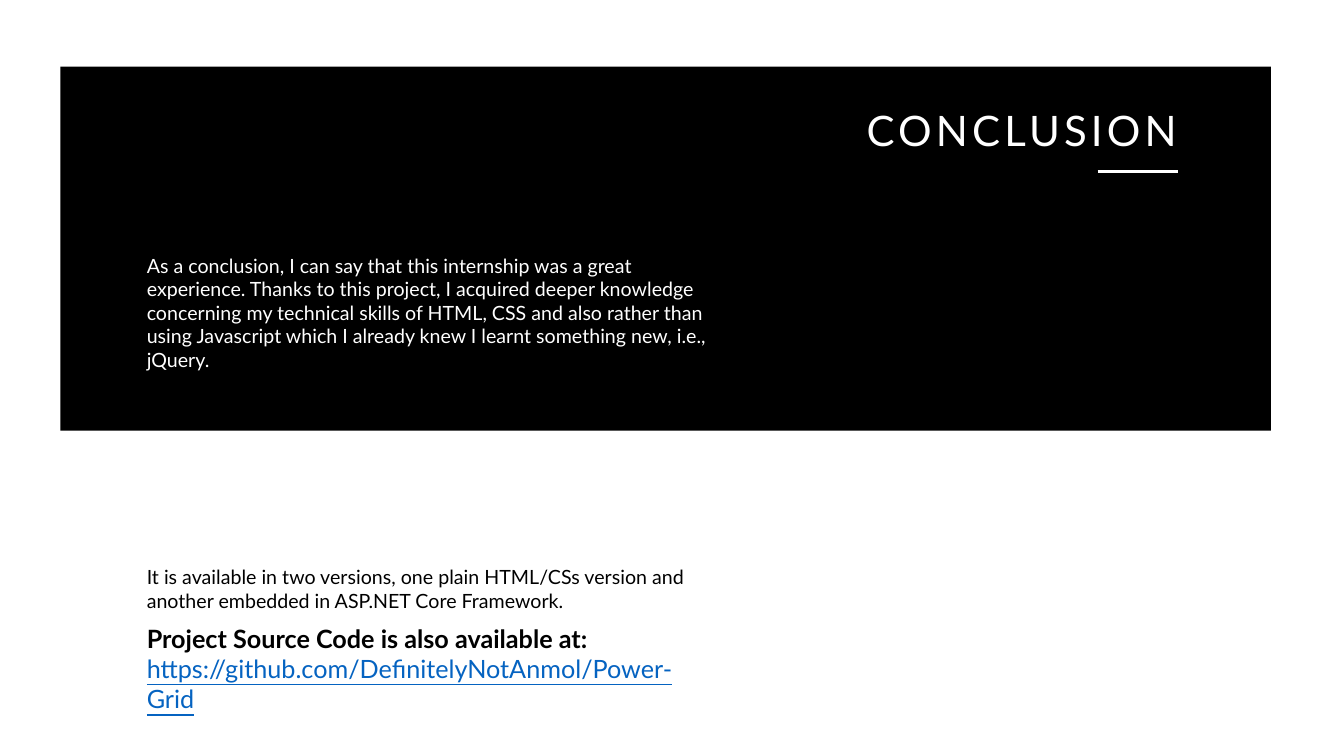
from pptx import Presentation
from pptx.dml.color import RGBColor
from pptx.enum.shapes import MSO_CONNECTOR as Link, MSO_SHAPE as Shape
from pptx.enum.text import MSO_AUTO_SIZE as Fit
from pptx.oxml.ns import qn
from pptx.util import Cm, Pt
from lxml.etree import SubElement

BLACK = RGBColor(0x00, 0x00, 0x00)
WHITE = RGBColor(0xFF, 0xFF, 0xFF)
BLUE = RGBColor(0x05, 0x63, 0xC1)


class Deck:
    """Draws the elements of one slide in a shared style."""

    face = "Lato"

    def __init__(self, wide, high):
        self.prs = Presentation()
        self.prs.slide_width, self.prs.slide_height = Cm(wide), Cm(high)
        self.slide = self.prs.slides.add_slide(self.prs.slide_layouts[6])

    def panel(self, box, color):
        rect = self.slide.shapes.add_shape(Shape.RECTANGLE, *map(Cm, box))
        rect.shadow.inherit = False
        rect.fill.solid()
        rect.fill.fore_color.rgb = color
        rect.line.fill.background()

    def rule(self, ends, color, width):
        line = self.slide.shapes.add_connector(Link.STRAIGHT, *map(Cm, ends))
        line.line.color.rgb = color
        line.line.width = Pt(width)
        SubElement(line._element.spPr, qn("a:effectLst"))

    def text(self, box, parts, wrap=True, gap=0):
        frame = self.slide.shapes.add_textbox(*map(Cm, box)).text_frame
        frame.word_wrap = wrap
        frame.auto_size = Fit.SHAPE_TO_FIT_TEXT if wrap else Fit.NONE
        for num, (words, size, color, style) in enumerate(parts):
            para = frame.add_paragraph() if num else frame.paragraphs[0]
            run = para.add_run()
            run.text = words
            run.font.color.rgb = color
            for key, val in {"name": self.face, "size": Pt(size), **style}.items():
                setattr(run.font, key, val)
            if gap:
                run._r.get_or_add_rPr().set("spc", str(gap * 100))


def main():
    left, wide = 3.45, 14.94
    deck = Deck(33.87, 19.05)
    deck.panel((1.52, 1.68, 30.51, 9.17), BLACK)
    deck.text((left, 6.27, wide, 3.25), [(
        "As a conclusion, I can say that this internship was a great experience. "
        "Thanks to this project, I acquired deeper knowledge concerning my technical "
        "skills of HTML, CSS and also rather than using Javascript which I already "
        "knew I learnt something new, i.e., jQuery.", 14, WHITE, {})])
    deck.text((21.59, 2.51, 8.71, 1.55), [("CONCLUSION", 30, WHITE, {})],
              wrap=False, gap=3)
    deck.rule((27.66, 4.32, 29.69, 4.32), WHITE, 2.25)
    deck.text((left, 15.57, wide, 1.8), [
        ("Project Source Code is also available at:", 18, BLACK, {"bold": True}),
        ("https://github.com/DefinitelyNotAnmol/Power-Grid", 18, BLUE,
         {"underline": True})])
    deck.text((left, 14.12, wide, 1.45), [(
        "It is available in two versions, one plain HTML/CSs version and "
        "another embedded in ASP.NET Core Framework.", 14, BLACK, {})])
    deck.prs.save("out.pptx")


if __name__ == "__main__":
    main()
